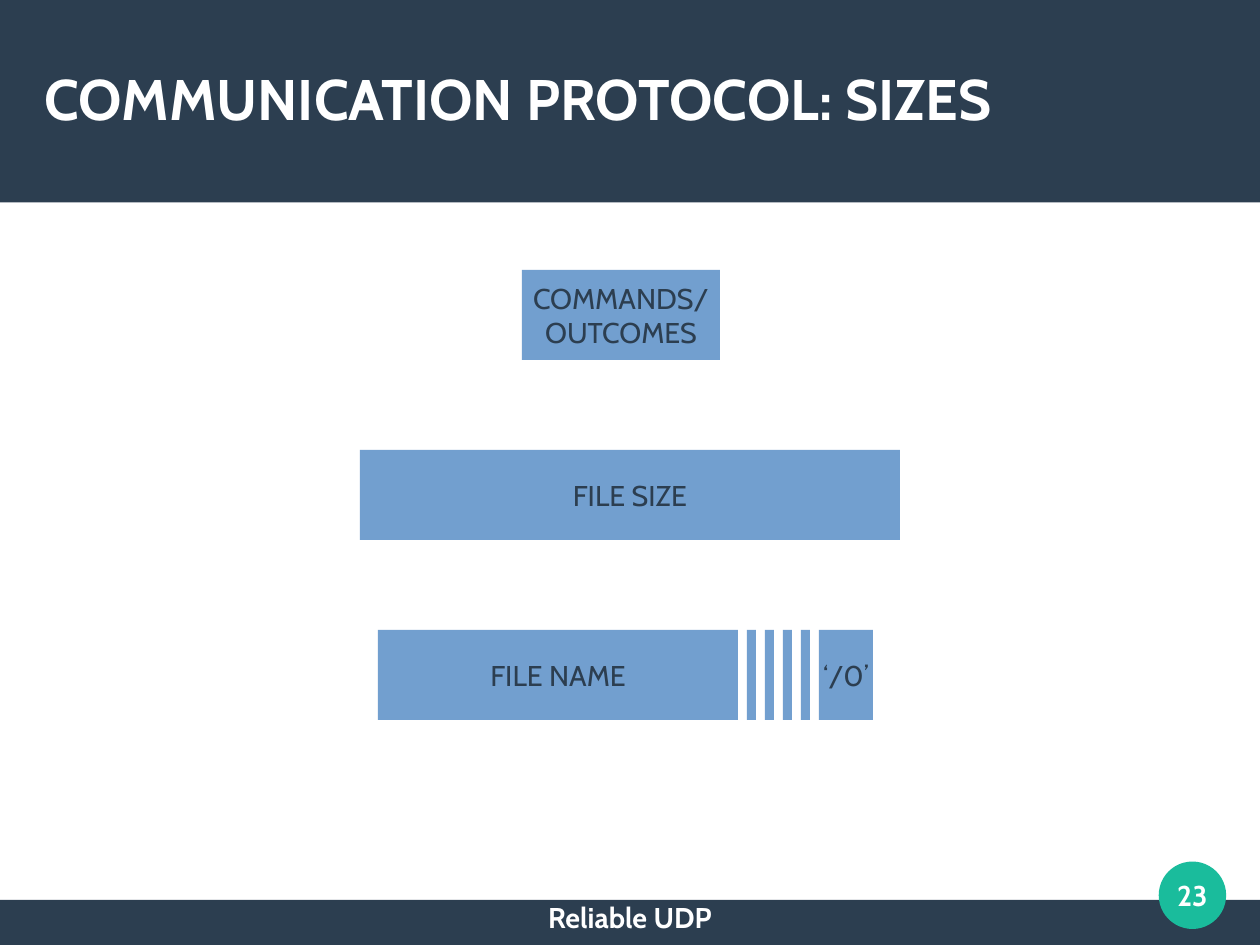
from dataclasses import dataclass

import pptx
import pptx.dml.color
import pptx.enum.shapes
import pptx.enum.text
import pptx.shapes.autoshape
import pptx.slide
import pptx.text.text
import pptx.util

Pt = pptx.util.Pt
MSO_SHAPE = pptx.enum.shapes.MSO_SHAPE
ANCHOR = pptx.enum.text.MSO_ANCHOR
ALIGN = pptx.enum.text.PP_ALIGN

COLORS = {"navy": "2C3E50", "teal": "1ABC9C", "blue": "729FCF", "white": "FFFFFF"}
FONT = "Cabin"
# The slide is 28 by 21 cm, expressed in points
CM = 72 / 2.54
SLIDE_W, SLIDE_H = 28 * CM, 21 * CM
HEADER_H, FOOTER_H = 4.5 * CM, CM
BLOCK_H = 2 * CM
FIRST_ROW, ROW_STEP = 6 * CM, 4 * CM
STRIPE_LEFT, STRIPE_W, STRIPE_COUNT = 16.6 * CM, 0.2 * CM, 4


@dataclass
class Block:
    """A protocol field, placed on one of the three rows."""
    row: int
    left: float
    width: float
    text: str = ""


BLOCKS = [
    Block(0, 11.6 * CM, 4.4 * CM, "COMMANDS/\nOUTCOMES"),
    Block(1, 8 * CM, 12 * CM, "FILE SIZE"),
    Block(2, 8.4 * CM, 8 * CM, "FILE NAME"),
    Block(2, 18.2 * CM, 1.2 * CM, "‘/0’"),
]
# Narrow stripes are separated by gaps of their own width
STRIPES = [Block(2, STRIPE_LEFT + i * 2 * STRIPE_W, STRIPE_W) for i in range(STRIPE_COUNT)]


def rgb(name: str) -> pptx.dml.color.RGBColor:
    return pptx.dml.color.RGBColor.from_string(COLORS[name])


def write_text(tf: pptx.text.text.TextFrame, text: str, *, size: float = 18,
               color: str = "white", bold: bool = False,
               align: ALIGN = ALIGN.CENTER, anchor: ANCHOR = ANCHOR.MIDDLE,
               insets: tuple[float, float] = (0, 0), wrap: bool = True) -> None:
    tf.auto_size = pptx.enum.text.MSO_AUTO_SIZE.NONE
    tf.word_wrap = wrap
    tf.vertical_anchor = anchor
    tf.margin_left = tf.margin_right = Pt(insets[0])
    tf.margin_top = tf.margin_bottom = Pt(insets[1])
    tf.text = text
    for p in tf.paragraphs:
        p.alignment = align
        for r in p.runs:
            r.font.name = FONT
            r.font.size = Pt(size)
            r.font.bold = bold
            r.font.color.rgb = rgb(color)


def add_filled(s: pptx.slide.Slide, left: float, top: float, width: float,
               height: float, color: str,
               kind: MSO_SHAPE = MSO_SHAPE.RECTANGLE) -> pptx.shapes.autoshape.Shape:
    sp = s.shapes.add_shape(kind, Pt(left), Pt(top), Pt(width), Pt(height))
    sp.shadow.inherit = False
    sp.fill.solid()
    sp.fill.fore_color.rgb = rgb(color)
    sp.line.fill.background()
    return sp


def add_block(s: pptx.slide.Slide, block: Block) -> None:
    top = FIRST_ROW + block.row * ROW_STEP
    sp = add_filled(s, block.left, top, block.width, BLOCK_H, "blue")
    if block.text:
        write_text(sp.text_frame, block.text, color="navy", insets=(7.2, 3.6), wrap=False)


def add_title(s: pptx.slide.Slide, text: str) -> None:
    title = s.shapes.title
    title.left, title.top = Pt(28), Pt(23.7)
    title.width, title.height = Pt(737), Pt(75.6)
    write_text(title.text_frame, text, size=36, bold=True, align=ALIGN.LEFT)
    # Bring the title in front of its band
    title.element.getparent().append(title.element)


def main() -> None:
    prs = pptx.Presentation()
    prs.slide_width, prs.slide_height = Pt(SLIDE_W), Pt(SLIDE_H)
    s = prs.slides.add_slide(prs.slide_layouts[5])

    # Footer, header and page number
    footer = add_filled(s, 0, SLIDE_H - FOOTER_H, SLIDE_W, FOOTER_H, "navy")
    write_text(footer.text_frame, "Reliable UDP", bold=True, anchor=ANCHOR.TOP)
    add_filled(s, 0, 0, SLIDE_W, HEADER_H, "navy")
    add_title(s, "COMMUNICATION PROTOCOL: SIZES")
    badge = add_filled(s, 729.9, 542.7, 42.5, 42.5, "teal", MSO_SHAPE.OVAL)
    write_text(badge.text_frame, "23", bold=True)

    # Protocol fields
    for block in BLOCKS + STRIPES:
        add_block(s, block)

    prs.save("out.pptx")


if __name__ == "__main__":
    main()
